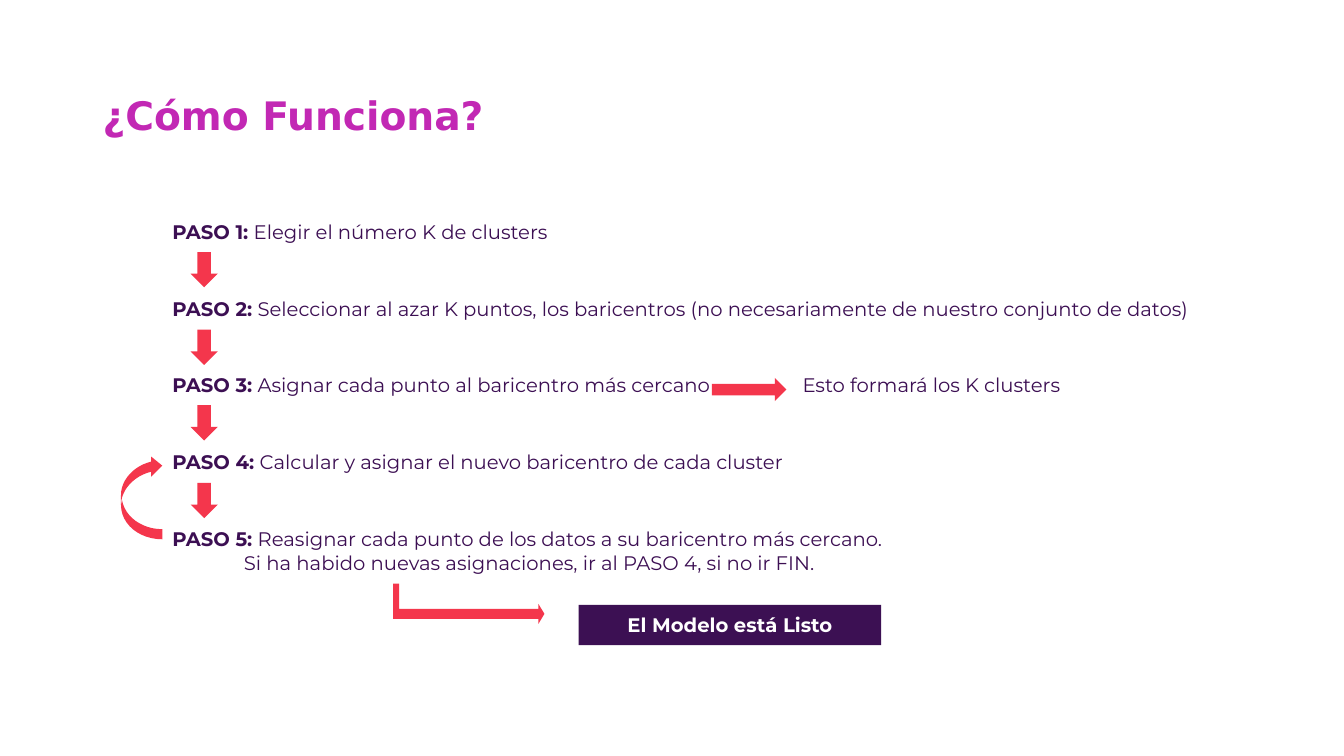
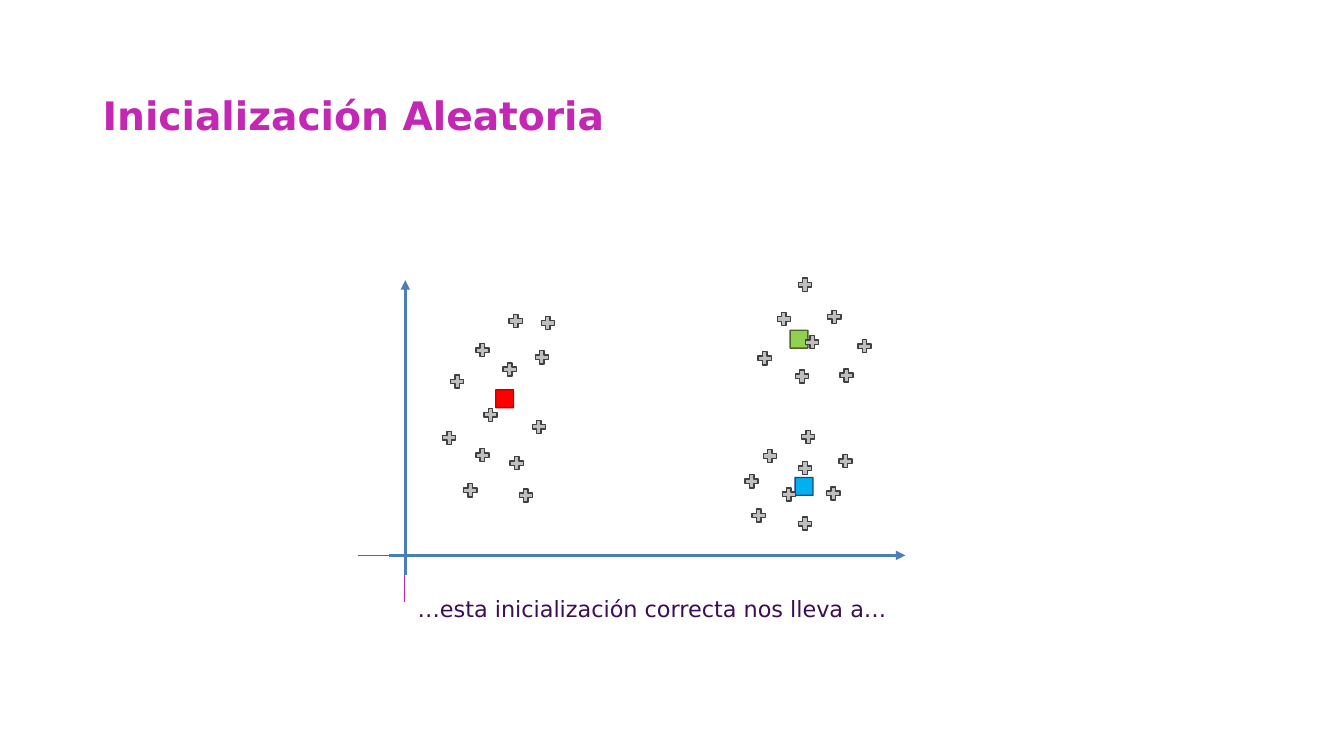
from dataclasses import dataclass

from pptx import Presentation
from pptx.dml.color import RGBColor
from pptx.enum.shapes import MSO_CONNECTOR, MSO_SHAPE
from pptx.enum.text import MSO_ANCHOR, PP_ALIGN
from pptx.oxml.ns import qn
from pptx.util import Inches, Pt
from lxml import etree

RECT, DIAMOND, CROSS = MSO_SHAPE.RECTANGLE, MSO_SHAPE.DIAMOND, MSO_SHAPE.CROSS
DOWN, RIGHT = MSO_SHAPE.DOWN_ARROW, MSO_SHAPE.RIGHT_ARROW
STRAIGHT = MSO_CONNECTOR.STRAIGHT
LEFT, CENTER = PP_ALIGN.LEFT, PP_ALIGN.CENTER
TOP, MIDDLE = MSO_ANCHOR.TOP, MSO_ANCHOR.MIDDLE

SANS, MONT = "DejaVu Sans", "Montserrat"
PINK, INK, DARK, RED, WHITE = "C228B4", "3C0F53", "3C1053", "F4364C", "FFFFFF"
BLUE, THIN, GRAY, EDGE = "4A7EBB", "C026B7", "BFBFBF", "404040"
PLUS = 0.13


@dataclass
class Para:
    body: str
    lead: str = ""
    gap: float = 0
    indent: float = 0
    tab: float = 0


@dataclass
class Center:
    x: float
    y: float
    fill: str
    edge: str


@dataclass
class Axis:
    start: tuple[float, float]
    end: tuple[float, float]
    color: str
    width: float
    arrow: bool


GAP = 38.1
STEPS = [
    Para(" Elegir el número K de clusters", "PASO 1:"),
    Para(" Seleccionar al azar K puntos, los baricentros "
         "(no necesariamente de nuestro conjunto de datos)", "PASO 2:", GAP),
    Para(" Asignar cada punto al baricentro más cercano\tEsto formará los K clusters",
         "PASO 3:", GAP, tab=6.25),
    Para(" Calcular y asignar el nuevo baricentro de cada cluster", "PASO 4:", GAP),
    Para(" Reasignar cada punto de los datos a su baricentro más cercano.", "PASO 5:", GAP),
    Para("Si ha habido nuevas asignaciones, ir al PASO 4, si no ir FIN.", indent=0.71),
]
DROPS = [2.5, 3.27, 4.02, 4.79]
ELBOW = [(3.96, 5.79), (3.96, 6.04), (5.34, 6.04), (5.34, 5.99), (5.4, 6.09),
         (5.34, 6.19), (5.34, 6.14), (3.9, 6.14), (3.9, 5.79)]
AXES = [
    Axis((4.01, 4.72), (4.01, 5.97), THIN, 0.5, False),
    Axis((4.8, 5.51), (3.55, 5.51), THIN, 0.5, False),
    Axis((4.02, 5.7), (4.02, 2.78), BLUE, 2.25, True),
    Axis((3.86, 5.51), (8.98, 5.51), BLUE, 2.25, True),
]
CENTERS = [
    Center(4.88, 3.83, "FF0000", "C00000"),
    Center(7.85, 4.7, "00B0F0", "1F497D"),
    Center(7.8, 3.24, "92D050", "4F6228"),
]
POINTS = [
    (5.28, 4.17), (4.72, 4.45), (5.15, 4.85), (4.6, 4.8), (4.39, 4.28),
    (4.8, 4.05), (5.06, 4.53), (4.47, 3.72), (4.99, 3.6), (4.72, 3.41),
    (5.31, 3.48), (5.37, 3.14), (5.05, 3.12),
    (7.92, 2.76), (8.21, 3.08), (7.71, 3.1), (7.99, 3.33), (8.51, 3.37),
    (7.89, 3.67), (8.33, 3.66), (7.52, 3.49),
    (7.39, 4.71), (7.57, 4.46), (7.76, 4.84), (7.46, 5.05), (7.92, 5.13),
    (8.2, 4.83), (7.92, 4.58), (8.32, 4.51), (7.95, 4.27),
]


def rgb(code: str) -> RGBColor:
    return RGBColor.from_string(code)


def paint(shape, fill: str, edge: str = ""):
    shape.shadow.inherit = False
    shape.fill.solid()
    shape.fill.fore_color.rgb = rgb(fill)
    if edge:
        shape.line.color.rgb = rgb(edge)
        shape.line.width = Pt(1)
    else:
        shape.line.fill.background()
    return shape


def draw(slide, kind, x: float, y: float, w: float, h: float,
         fill: str, edge: str = "", turn: float = 0):
    shape = slide.shapes.add_shape(kind, Inches(x), Inches(y), Inches(w), Inches(h))
    shape.rotation = turn
    return paint(shape, fill, edge)


def trace(slide, dots: list, fill: str):
    path = [(Inches(x), Inches(y)) for x, y in dots]
    pen = slide.shapes.build_freeform(*path[0])
    pen.add_line_segments(path[1:], close=True)
    return paint(pen.convert_to_shape(), fill)


def curve(a, b, c, d, count: int = 12) -> list:
    dots = []
    for step in range(count + 1):
        t = step / count
        u = 1 - t
        dots.append(tuple(u**3 * p + 3 * u * u * t * q + 3 * u * t * t * r + t**3 * s
                          for p, q, r, s in zip(a, b, c, d)))
    return dots


def box(slide, x: float, y: float, w: float, h: float):
    return slide.shapes.add_textbox(Inches(x), Inches(y), Inches(w), Inches(h))


def text(shape, paras: list[Para], *, font: str, size: float, color: str,
         bold: bool = False, align=LEFT, anchor=TOP, pad: float = 0.05,
         lead: float = 1.0) -> None:
    frame = shape.text_frame
    frame.word_wrap = True
    frame.vertical_anchor = anchor
    frame.margin_left = frame.margin_right = Inches(pad)
    frame.margin_top = frame.margin_bottom = Inches(0.05)
    for index, item in enumerate(paras):
        para = frame.add_paragraph() if index else frame.paragraphs[0]
        para.alignment = align
        para.line_spacing = lead
        para.space_before = Pt(item.gap)
        props = para._p.get_or_add_pPr()
        if item.indent:
            props.set("marL", str(Inches(item.indent)))
        if item.tab:
            tabs = etree.SubElement(props, qn("a:tabLst"))
            etree.SubElement(tabs, qn("a:tab"), pos=str(Inches(item.tab)), algn="l")
        for part, heavy in ((item.lead, True), (item.body, bold)):
            if part:
                run = para.add_run()
                run.text = part
                run.font.name, run.font.size = font, Pt(size)
                run.font.bold = heavy
                run.font.color.rgb = rgb(color)


def rule(slide, axis: Axis) -> None:
    ends = [Inches(v) for v in (*axis.start, *axis.end)]
    line = slide.shapes.add_connector(STRAIGHT, *ends)
    line.line.color.rgb = rgb(axis.color)
    line.line.width = Pt(axis.width)
    if axis.arrow:
        etree.SubElement(line.line._get_or_add_ln(), qn("a:tailEnd"), type="triangle")
    etree.SubElement(line._element.spPr, qn("a:effectLst"))


def start(deck, title: str):
    slide = deck.slides.add_slide(deck.slide_layouts[6])
    slide.background.fill.solid()
    slide.background.fill.fore_color.rgb = rgb(WHITE)
    text(box(slide, 0.92, 0.71, 11.5, 0.91), [Para(title)], font=SANS, size=28,
         color=PINK, bold=True, anchor=MIDDLE, pad=0.1, lead=0.9)
    return slide


def loop(slide) -> None:
    head = curve((1.2, 5.01), (1.2, 4.86), (1.33, 4.72), (1.5, 4.68))
    head += [(1.5, 4.73), (1.61, 4.62), (1.5, 4.53)]
    head += curve((1.5, 4.58), (1.33, 4.62), (1.2, 4.76), (1.2, 4.91))
    tail = curve((1.61, 5.25), (1.41, 5.25), (1.24, 5.13), (1.21, 4.96))
    tail += curve((1.2, 5.01), (1.2, 5.2), (1.38, 5.35), (1.61, 5.35))
    for part in (head, tail):
        trace(slide, part, RED)


def method(deck) -> None:
    slide = start(deck, "¿Cómo Funciona?")
    text(box(slide, 1.66, 2.13, 10.43, 3.67), STEPS, font=MONT, size=14, color=INK)
    for y in DROPS:
        draw(slide, DOWN, 1.89, y, 0.27, 0.35, RED)
    loop(slide)
    trace(slide, ELBOW, RED)
    label = draw(slide, RECT, 5.74, 6, 3, 0.4, DARK)
    text(label, [Para("El Modelo está Listo")], font=MONT, size=14, color=WHITE,
         bold=True, align=CENTER, anchor=MIDDLE)
    draw(slide, RIGHT, 7.06, 3.75, 0.74, 0.23, RED)


def scatter(deck) -> None:
    slide = start(deck, "Inicialización Aleatoria")
    for axis in AXES[:2]:
        rule(slide, axis)
    for mark in CENTERS:
        draw(slide, DIAMOND, mark.x, mark.y, 0.25, 0.25, mark.fill, mark.edge, 315)
    for axis in AXES[2:]:
        rule(slide, axis)
    for x, y in POINTS:
        plus = draw(slide, CROSS, x, y, PLUS, PLUS, GRAY, EDGE)
        plus.adjustments[0] = 0.33
    text(box(slide, 3.65, 5.86, 5.64, 0.37),
         [Para("…esta inicialización correcta nos lleva a…")],
         font=SANS, size=16, color=INK, align=CENTER)


def main() -> None:
    deck = Presentation()
    deck.slide_width, deck.slide_height = Inches(13.33), Inches(7.5)
    method(deck)
    scatter(deck)
    deck.save("out.pptx")


if __name__ == "__main__":
    main()
